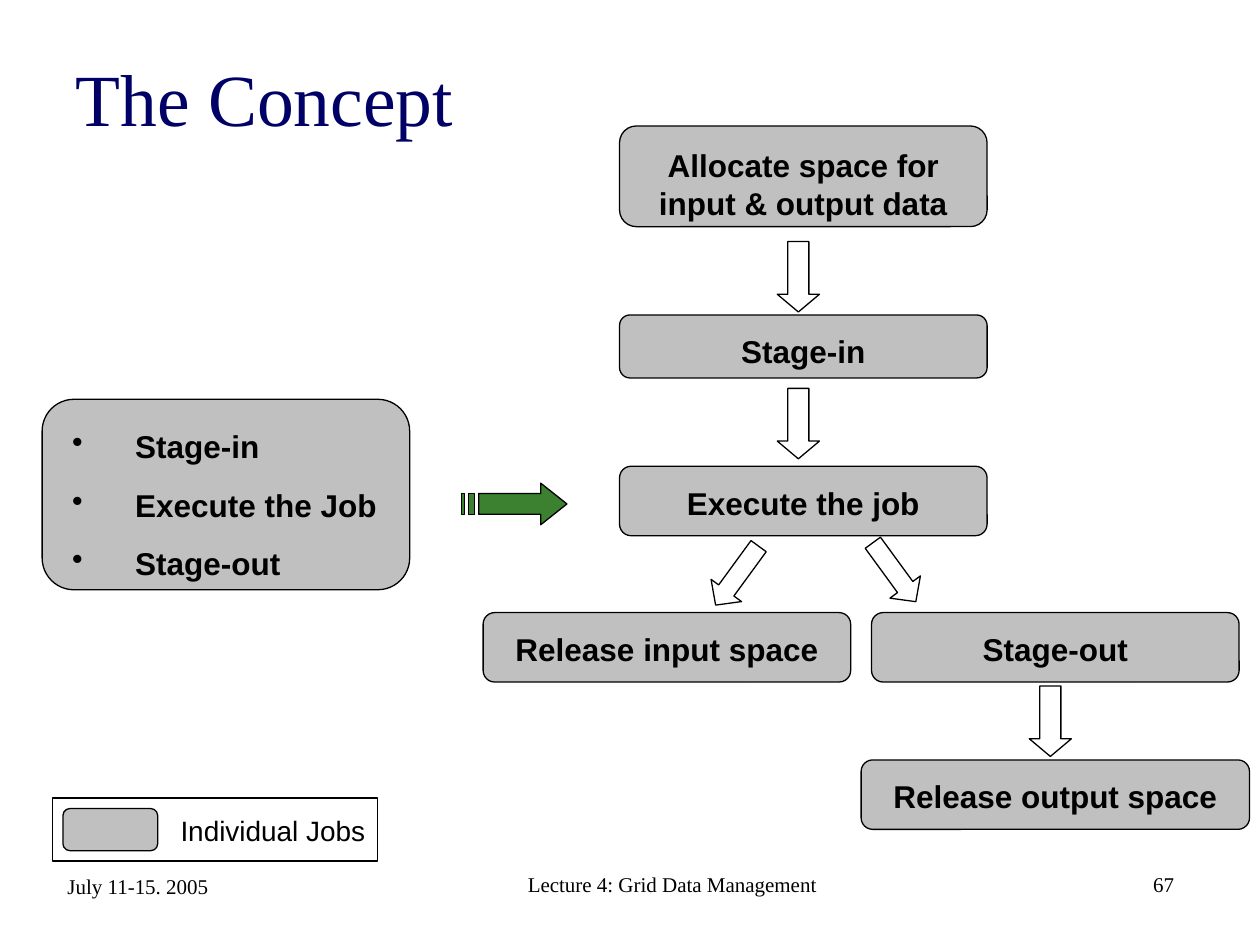
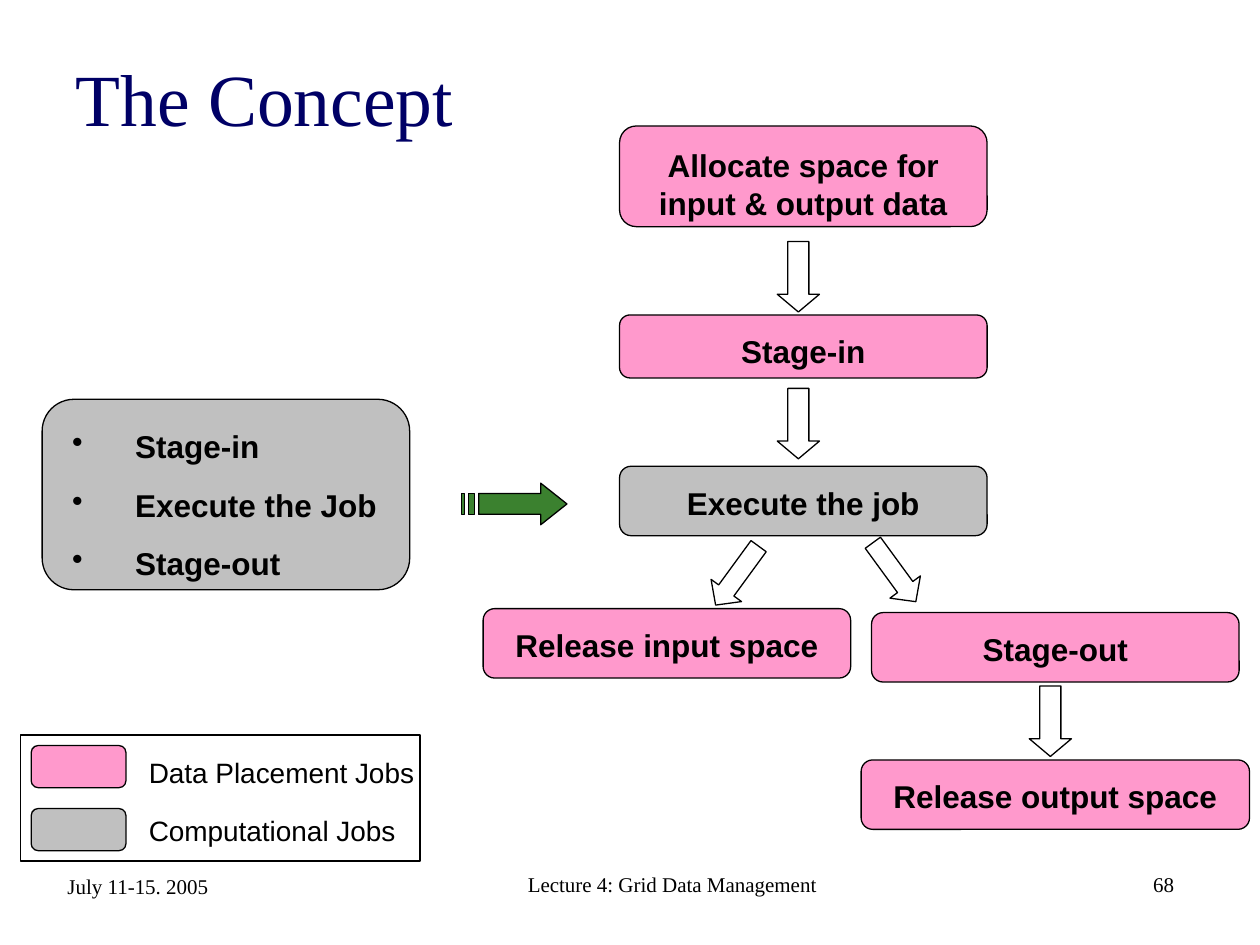
"""Build the two "The Concept" slides of the grid data management lecture."""
import lxml.etree
import pptx
import pptx.dml.color
import pptx.enum.shapes
import pptx.enum.text
import pptx.oxml.ns
import pptx.util

Cm = pptx.util.Cm
Pt = pptx.util.Pt
SHAPE = pptx.enum.shapes.MSO_SHAPE
ALIGN = pptx.enum.text.PP_ALIGN
ANCHOR = pptx.enum.text.MSO_ANCHOR

BLACK, WHITE, NAVY = "000000", "FFFFFF", "000066"
GREY, PINK, GREEN = "C0C0C0", "FF99CC", "3B812F"
SANS, SERIF = "Arial", "Times New Roman"


def color(hex_string):
    return pptx.dml.color.RGBColor.from_string(hex_string)


class ConceptSlides:
    def __init__(self, deck):
        self.deck = deck
        self.page = None

    def start_page(self, title):
        self.page = self.deck.slides.add_slide(self.deck.slide_layouts[5])
        box = self.page.shapes.title
        box.left, box.top, box.width, box.height = Cm(1.27), Cm(0.76), Cm(21.8), Cm(2.41)
        self.fill_text(box, [title], 42, SERIF, NAVY, anchor=ANCHOR.MIDDLE)

    def fill_text(self, box, lines, size, font, ink=BLACK, bold=False, align=ALIGN.LEFT,
                  anchor=ANCHOR.TOP, bullets=False):
        frame = box.text_frame
        frame.word_wrap = True
        frame.auto_size = pptx.enum.text.MSO_AUTO_SIZE.NONE
        frame.vertical_anchor = anchor
        for index, line in enumerate(lines):
            para = frame.add_paragraph() if index else frame.paragraphs[0]
            if bullets:
                self.add_bullet(para)
            para.alignment = align
            if index:
                para.space_before = Pt(12)
            span = para.add_run()
            span.text = line
            span.font.size = Pt(size)
            span.font.name = font
            span.font.bold = bold
            span.font.color.rgb = color(ink)

    def add_bullet(self, para):
        properties = para._p.get_or_add_pPr()
        properties.set("marL", str(Cm(1.27)))
        properties.set("indent", str(Cm(-1.27)))
        bullet = lxml.etree.SubElement(properties, pptx.oxml.ns.qn("a:buChar"))
        bullet.set("char", "•")

    def paint(self, shape, fill):
        shape.shadow.inherit = False
        if fill:
            shape.fill.solid()
            shape.fill.fore_color.rgb = color(fill)
        else:
            shape.fill.background()
        shape.line.color.rgb = color(BLACK)
        shape.line.width = Pt(0.75)

    def shape(self, kind, left, top, width, height, fill=None):
        shape = self.page.shapes.add_shape(kind, Cm(left), Cm(top), Cm(width), Cm(height))
        self.paint(shape, fill)
        return shape

    def job(self, lines, left, top, width, height, fill, inset=0.28, bullets=False):
        box = self.shape(SHAPE.ROUNDED_RECTANGLE, left, top, width, height, fill)
        frame = box.text_frame
        frame.margin_left = frame.margin_right = Cm(0.42)
        frame.margin_top, frame.margin_bottom = Cm(inset), Cm(0)
        align = ALIGN.LEFT if bullets else ALIGN.CENTER
        self.fill_text(box, lines, 18, SANS, bold=True, align=align, bullets=bullets)

    def down_arrow(self, left, top, width=0.85, height=1.42, head=0.42, angle=0):
        arrow = self.shape(SHAPE.DOWN_ARROW, left, top, width, height, WHITE)
        arrow.adjustments[1] = head
        arrow.rotation = angle

    def striped_arrow(self):
        top, upper, middle, lower, bottom = 9.74, 9.95, 10.16, 10.37, 10.58
        neck, tip = 10.9, 11.43
        outlines = [[(left, upper), (right, upper), (right, lower), (left, lower)]
                    for left, right in ((9.31, 9.36), (9.44, 9.57))]
        outlines.append([(9.65, upper), (neck, upper), (neck, top), (tip, middle),
                         (neck, bottom), (neck, lower), (9.65, lower)])
        builder = None
        for outline in outlines:
            start, *corners = [(Cm(x), Cm(y)) for x, y in outline]
            if builder is None:
                builder = self.page.shapes.build_freeform(*start)
            else:
                builder.move_to(*start)
            builder.add_line_segments(corners, close=True)
        self.paint(builder.convert_to_shape(), GREEN)

    def text(self, words, left, top, width, height, size, font, **style):
        box = self.page.shapes.add_textbox(Cm(left), Cm(top), Cm(width), Cm(height))
        self.fill_text(box, [words], size, font, **style)

    def legend(self, left, width, entries):
        row, margin = 1.27, 0.21
        bottom = 17.36
        for index, (label, fill) in enumerate(entries):
            swatch_top = bottom - row * (index + 1) + margin
            self.shape(SHAPE.ROUNDED_RECTANGLE, left + margin, swatch_top, 1.91, 0.85, fill)
            self.text(label, left + margin + 2.12, 16.28 - 1.18 * index, width - 2, 0.94,
                      16, SANS)
        height = row * len(entries)
        self.shape(SHAPE.RECTANGLE, left, bottom - height, width, height)

    def footer(self, number):
        for words, left, top, width, align in (
                ("July 11-15. 2005", 1.11, 17.38, 5.77, ALIGN.LEFT),
                ("Lecture 4: Grid Data Management", 9.53, 17.34, 8.05, ALIGN.CENTER),
                (str(number), 17.99, 17.34, 5.93, ALIGN.RIGHT)):
            self.text(words, left, top, width, 0.86, 12, SERIF, align=align,
                      anchor=ANCHOR.BOTTOM)

    def workflow(self, placement_fill, release_top):
        column, width, height = 12.49, 7.41, 1.4
        self.job(["Stage-in", "Execute the Job", "Stage-out"], 0.85, 8.05, width, 3.84,
                 GREY, inset=0.37, bullets=True)
        self.striped_arrow()
        self.job(["Allocate space for input & output data"], column, 2.54, width, 2.03,
                 placement_fill, inset=0.3)
        self.job(["Stage-in"], column, 6.35, width, 1.27, placement_fill)
        self.job(["Execute the job"], column, 9.4, width, height, GREY)
        self.job(["Release input space"], 9.74, release_top, width, height, placement_fill)
        self.job(["Stage-out"], 17.57, 12.35, width, height, placement_fill)
        self.job(["Release output space"], 17.36, 15.32, 7.83, height, placement_fill)
        for left, top in ((15.67, 4.87), (15.67, 7.83), (20.75, 13.83)):
            self.down_arrow(left, top)
        for left, top, angle in ((14.48, 10.87, 36.1), (17.65, 10.8, -36.1)):
            self.down_arrow(left, top, 0.76, 1.47, 0.48, angle)


def main():
    deck = pptx.Presentation()
    deck.slide_width, deck.slide_height = Cm(25.4), Cm(19.05)
    slides = ConceptSlides(deck)
    versions = (
        (67, GREY, 12.35, 1.06, 6.55, [("Individual Jobs", GREY)]),
        (68, PINK, 12.27, 0.42, 8.05,
         [("Computational Jobs", GREY), ("Data Placement Jobs", PINK)]),
    )
    for number, fill, release_top, legend_left, legend_width, entries in versions:
        slides.start_page("The Concept")
        slides.workflow(fill, release_top)
        slides.legend(legend_left, legend_width, entries)
        slides.footer(number)
    deck.save("out.pptx")


if __name__ == "__main__":
    main()
